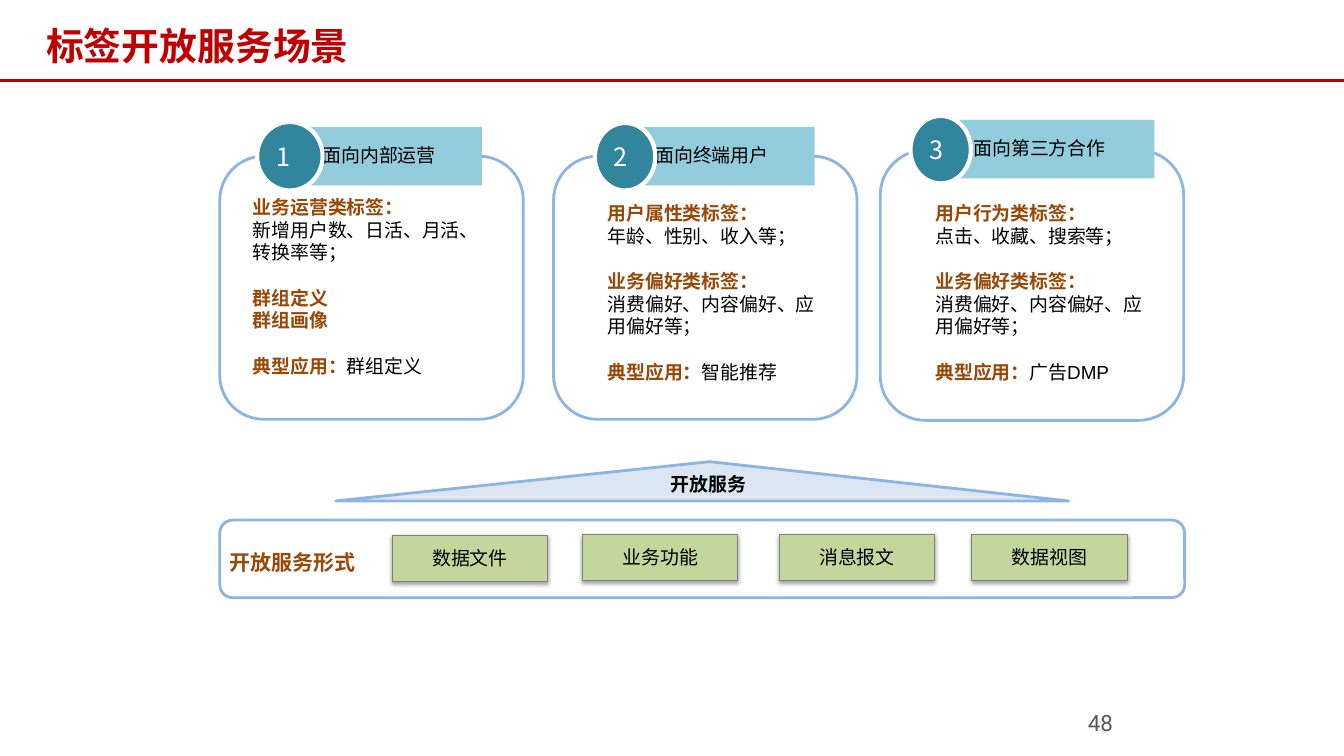
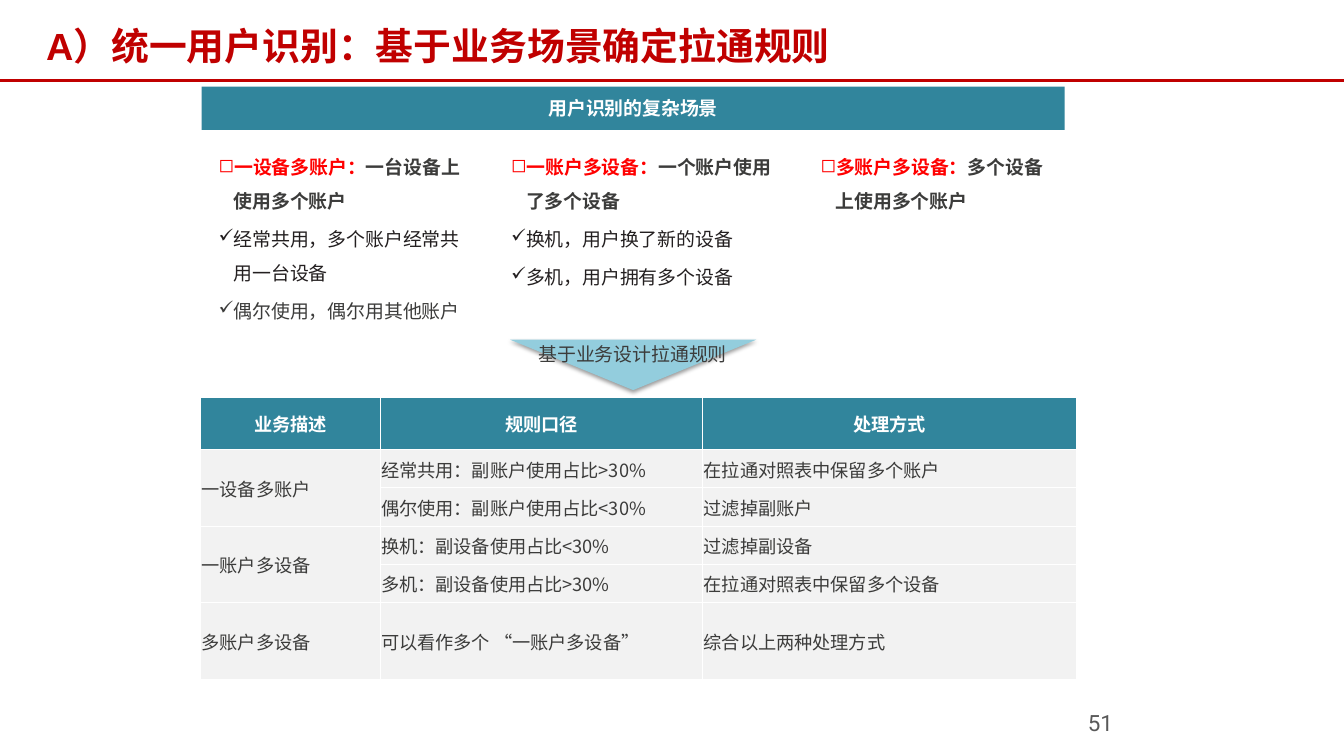
from lxml import etree
from pptx import Presentation
from pptx.dml.color import RGBColor
from pptx.enum.shapes import MSO_CONNECTOR, MSO_SHAPE
from pptx.enum.text import MSO_ANCHOR, PP_ALIGN
from pptx.oxml.ns import qn
from pptx.util import Pt

PX = 9144  # EMU per px, 100 px to the inch
PAGE_WIDTH, PAGE_HEIGHT = 1333, 750

RECT, ROUNDED = MSO_SHAPE.RECTANGLE, MSO_SHAPE.ROUNDED_RECTANGLE
OVAL, TRIANGLE = MSO_SHAPE.OVAL, MSO_SHAPE.ISOSCELES_TRIANGLE
TOP, MIDDLE = MSO_ANCHOR.TOP, MSO_ANCHOR.MIDDLE
LEFT, CENTER = PP_ALIGN.LEFT, PP_ALIGN.CENTER

RED = RGBColor(0xC0, 0x00, 0x00)
BRIGHT_RED = RGBColor(0xFF, 0x00, 0x00)
BROWN = RGBColor(0x98, 0x48, 0x07)
BLACK = RGBColor(0x00, 0x00, 0x00)
WHITE = RGBColor(0xFF, 0xFF, 0xFF)
INK = RGBColor(0x23, 0x1F, 0x20)
CHARCOAL = RGBColor(0x3C, 0x3C, 0x3B)
GRAY = RGBColor(0x59, 0x59, 0x59)
EDGE_GRAY = RGBColor(0x80, 0x80, 0x80)
PALE_GRAY = RGBColor(0xF2, 0xF2, 0xF2)
TEAL = RGBColor(0x31, 0x85, 0x9C)
LIGHT_TEAL = RGBColor(0x93, 0xCD, 0xDD)
GREEN = RGBColor(0xC3, 0xD6, 0x9B)
BLUE_EDGE = RGBColor(0x8E, 0xB4, 0xE3)
PALE_BLUE = RGBColor(0xDC, 0xE6, 0xF2)

HAN_FONT = "Noto Sans CJK SC"


def style(color, size=13.5, bold=False, name=HAN_FONT):
    return color, {"name": name, "size": Pt(size), "bold": bold}


STYLES = {
    "title": style(RED, 27, True, "Arial"),
    "number": style(GRAY, 16, name="Roboto"),
    "key": style(BROWN, bold=True, name="Arial"),
    "value": style(BLACK, name="Arial"),
    "caption": style(BROWN, 15, True, "Arial"),
    "label": style(BLACK),
    "strong": style(BLACK, bold=True),
    "badge": style(WHITE, 18),
    "banner": style(WHITE, bold=True),
    "scene": style(BRIGHT_RED, bold=True),
    "scene text": style(CHARCOAL, bold=True),
    "ink": style(INK),
    "soft": style(CHARCOAL),
    "head cell": style(WHITE, 13, True),
    "cell": style(CHARCOAL, 13),
}

# Content: service scenarios
SCENARIO_TITLE, SCENARIO_NUMBER = "标签开放服务场景", "48"
PREFERENCES = [("key", "业务偏好类标签："), ("value", "消费偏好、内容偏好、应用偏好等；")]
# Each card: heading, frame, heading bar, badge, text box, groups of paragraphs
CARDS = [
    ("面向内部运营", (218, 155, 301, 261), (279, 126, 199, 58), (255, 121, 65, 68),
     (241, 189, 260, 192),
     [[("key", "业务运营类标签："), ("value", "新增用户数、日活、月活、转换率等；")],
      [("key", "群组定义"), ("key", "群组画像")]], "群组定义"),
    ("面向终端用户", (549, 155, 301, 261), (609, 126, 199, 58), (590, 122, 60, 67),
     (593, 195, 227, 192),
     [[("key", "用户属性类标签："), ("value", "年龄、性别、收入等；")], PREFERENCES], "智能推荐"),
    ("面向第三方合作", (873, 149, 301, 268), (922, 119, 223, 58), (903, 115, 60, 67),
     (918, 195, 227, 192),
     [[("key", "用户行为类标签："), ("value", "点击、收藏、搜索等；")], PREFERENCES], "广告DMP"),
]
SERVICE_FORMS = [("数据文件", 389, 531), ("业务功能", 578, 530),
                 ("消息报文", 773, 530), ("数据视图", 964, 530)]

# Content: user identification
RULES_TITLE, RULES_NUMBER = "A）统一用户识别：基于业务场景确定拉通规则", "51"
SCENES = [
    ((207, 138, 265, 189), "一设备多账户：", "一台设备上使用多个账户",
     [("ink", "经常共用，多个账户经常共用一台设备"), ("soft", "偶尔使用，偶尔用其他账户")]),
    ((497, 138, 288, 155), "一账户多设备：", "一个账户使用了多个设备",
     [("ink", "换机，用户换了新的设备"), ("ink", "多机，用户拥有多个设备")]),
    ((804, 138, 253, 78), "多账户多设备：", "多个设备上使用多个账户", []),
]
RULE_ROWS = [
    ("业务描述", "规则口径", "处理方式"),
    ("一设备多账户", "经常共用：副账户使用占比>30%", "在拉通对照表中保留多个账户"),
    (None, "偶尔使用：副账户使用占比<30%", "过滤掉副账户"),
    ("一账户多设备", "换机：副设备使用占比<30%", "过滤掉副设备"),
    (None, "多机：副设备使用占比>30%", "在拉通对照表中保留多个设备"),
    ("多账户多设备", "可以看作多个 “一账户多设备”", "综合以上两种处理方式"),
]
COLUMN_WIDTHS = [178, 320, 371]
ROW_HEIGHTS = [52, 38, 38, 38, 38, 76]


# Helpers
def emu(*lengths):
    return [round(length * PX) for length in lengths]


def add_xml(parent, tag, **attributes):
    return etree.SubElement(parent, qn(tag), attributes)


def fill_paragraph(para, spans, bullet=None, **formats):
    if bullet:
        properties = para._p.get_or_add_pPr()
        properties.set("marL", str(15 * PX))
        properties.set("indent", str(-15 * PX))
        add_xml(properties, "a:buChar", char=bullet)
    for key, value in formats.items():
        setattr(para, key, value)
    for style_name, text in spans:
        span = para.add_run()
        span.text = text
        color, font_formats = STYLES[style_name]
        for key, value in font_formats.items():
            setattr(span.font, key, value)
        span.font.color.rgb = color
        add_xml(span._r.get_or_add_rPr(), "a:ea", typeface=HAN_FONT)


def write(box, paragraphs, anchor=TOP, insets=(10, 5, 10, 5)):
    """Each paragraph is a pair: spans, dict of paragraph formats."""
    frame = box.text_frame
    left, top, right, bottom = emu(*insets)
    formats = {"word_wrap": True, "vertical_anchor": anchor, "margin_left": left,
               "margin_top": top, "margin_right": right, "margin_bottom": bottom}
    for key, value in formats.items():
        setattr(frame, key, value)
    for index, (spans, para_formats) in enumerate(paragraphs):
        para = frame.add_paragraph() if index else frame.paragraphs[0]
        fill_paragraph(para, spans, **para_formats)


def line_of(style_name, text, alignment=LEFT, **formats):
    return [([(style_name, text)], {"alignment": alignment, **formats})]


def add_text(page, place, paragraphs, **options):
    write(page.shapes.add_textbox(*emu(*place)), paragraphs, **options)


def add_block(page, kind, place, fill, edge=None, width=0):
    shape = page.shapes.add_shape(kind, *emu(*place))
    shape.shadow.inherit = False
    shape.fill.solid()
    shape.fill.fore_color.rgb = fill
    if edge is None:
        shape.line.fill.background()
    else:
        shape.line.color.rgb = edge
        shape.line.width = Pt(width)
    return shape


def cast_shadow(shape):
    effects = shape._element.spPr.find(qn("a:effectLst"))
    shadow = add_xml(effects, "a:outerShdw", blurRad=str(Pt(3.1)), dist=str(Pt(1.6)),
                     dir="5400000", rotWithShape="0")
    add_xml(add_xml(shadow, "a:srgbClr", val="000000"), "a:alpha", val="38000")


def start_page(deck, title, number):
    page = deck.slides.add_slide(deck.slide_layouts[6])
    rule = page.shapes.add_connector(MSO_CONNECTOR.STRAIGHT, *emu(0, 80, PAGE_WIDTH, 80))
    rule.line.color.rgb = RED
    rule.line.width = Pt(2.25)
    add_xml(rule._element.spPr, "a:effectLst")
    add_text(page, (36, 15, 1032, 59), line_of("title", title), anchor=MIDDLE)
    add_text(page, (1079, 708, 44, 27), line_of("number", number, line_spacing=0.85),
             insets=(0, 0, 0, 0))
    return page


# Service scenarios
def build_scenarios(deck):
    page = start_page(deck, SCENARIO_TITLE, SCENARIO_NUMBER)
    for number, card in enumerate(CARDS, 1):
        heading, frame, bar, badge, body, groups, application = card
        add_block(page, ROUNDED, frame, WHITE, BLUE_EDGE, 2)
        write(add_block(page, RECT, bar, LIGHT_TEAL), line_of("label", heading, CENTER),
              anchor=MIDDLE, insets=(5, 0, 10, 2))
        write(add_block(page, OVAL, badge, TEAL, WHITE, 3), line_of("badge", str(number)),
              anchor=MIDDLE)
        paragraphs = []
        for group in groups:
            for index, span in enumerate(group):
                gap = {"space_before": Pt(16.2)} if paragraphs and index == 0 else {}
                paragraphs.append(([span], gap))
        paragraphs.append(([("key", "典型应用："), ("value", application)],
                           {"space_before": Pt(16.2)}))
        add_text(page, body, paragraphs)

    roof = add_block(page, TRIANGLE, (333, 458, 727, 39), PALE_BLUE, BLUE_EDGE, 2)
    roof.adjustments[0] = 0.51
    add_text(page, (596, 466, 213, 53), line_of("strong", "开放服务", CENTER, line_spacing=0.95))
    add_block(page, ROUNDED, (218, 516, 957, 77), WHITE, BLUE_EDGE, 2)
    add_text(page, (218, 540, 159, 35), line_of("caption", "开放服务形式"))
    for text, left, top in SERVICE_FORMS:
        form = add_block(page, RECT, (left, top, 154, 46), GREEN, EDGE_GRAY, 0.75)
        cast_shadow(form)
        write(form, line_of("label", text, CENTER), anchor=MIDDLE, insets=(6, 3, 6, 3))


# User identification
def format_cell(cell, text, is_head):
    cell.fill.solid()
    cell.fill.fore_color.rgb = TEAL if is_head else PALE_GRAY
    margins = zip(("left", "top", "right", "bottom"), emu(1, 1, 1, 0))
    for side, margin in margins:
        setattr(cell, "margin_" + side, margin)
    cell.vertical_anchor = MIDDLE
    if text:
        fill_paragraph(cell.text_frame.paragraphs[0],
                       [("head cell" if is_head else "cell", text)],
                       alignment=CENTER if is_head else LEFT)
    properties = cell._tc.get_or_add_tcPr()
    for index, tag in enumerate(("a:lnL", "a:lnR", "a:lnT", "a:lnB")):
        border = etree.Element(qn(tag), w=str(Pt(1)))
        add_xml(add_xml(border, "a:solidFill"), "a:srgbClr", val=str(WHITE))
        properties.insert(index, border)


def add_rule_table(page):
    place = (199, 394, sum(COLUMN_WIDTHS), sum(ROW_HEIGHTS))
    table = page.shapes.add_table(len(RULE_ROWS), len(COLUMN_WIDTHS), *emu(*place)).table
    table.horz_banding = False
    for column, width in zip(table.columns, emu(*COLUMN_WIDTHS)):
        column.width = width
    for row, height in zip(table.rows, emu(*ROW_HEIGHTS)):
        row.height = height
    for row_index, texts in enumerate(RULE_ROWS):
        for column_index, text in enumerate(texts):
            format_cell(table.cell(row_index, column_index), text, row_index == 0)
        if texts[0] is None:
            table.cell(row_index - 1, 0).merge(table.cell(row_index, 0))


def build_rules(deck):
    page = start_page(deck, RULES_TITLE, RULES_NUMBER)
    write(add_block(page, RECT, (200, 86, 856, 43), TEAL),
          line_of("banner", "用户识别的复杂场景", CENTER), anchor=MIDDLE, insets=(10, 7, 10, 7))
    for place, name, meaning, cases in SCENES:
        paragraphs = [([("scene", name), ("scene text", meaning)],
                       {"bullet": "◻", "line_spacing": 1.5})]
        for case in cases:
            paragraphs.append(([case], {"bullet": "✓", "line_spacing": 1.5,
                                        "space_before": Pt(3)}))
        add_text(page, place, paragraphs)
    pointer = add_block(page, TRIANGLE, (506, 337, 244, 50), LIGHT_TEAL)
    pointer.rotation = 180
    cast_shadow(pointer)
    add_rule_table(page)
    add_text(page, (493, 337, 269, 32),
             line_of("soft", "基于业务设计拉通规则", CENTER, line_spacing=0.95))


def main():
    deck = Presentation()
    deck.slide_width, deck.slide_height = emu(PAGE_WIDTH, PAGE_HEIGHT)
    build_scenarios(deck)
    build_rules(deck)
    deck.save("out.pptx")


if __name__ == "__main__":
    main()
